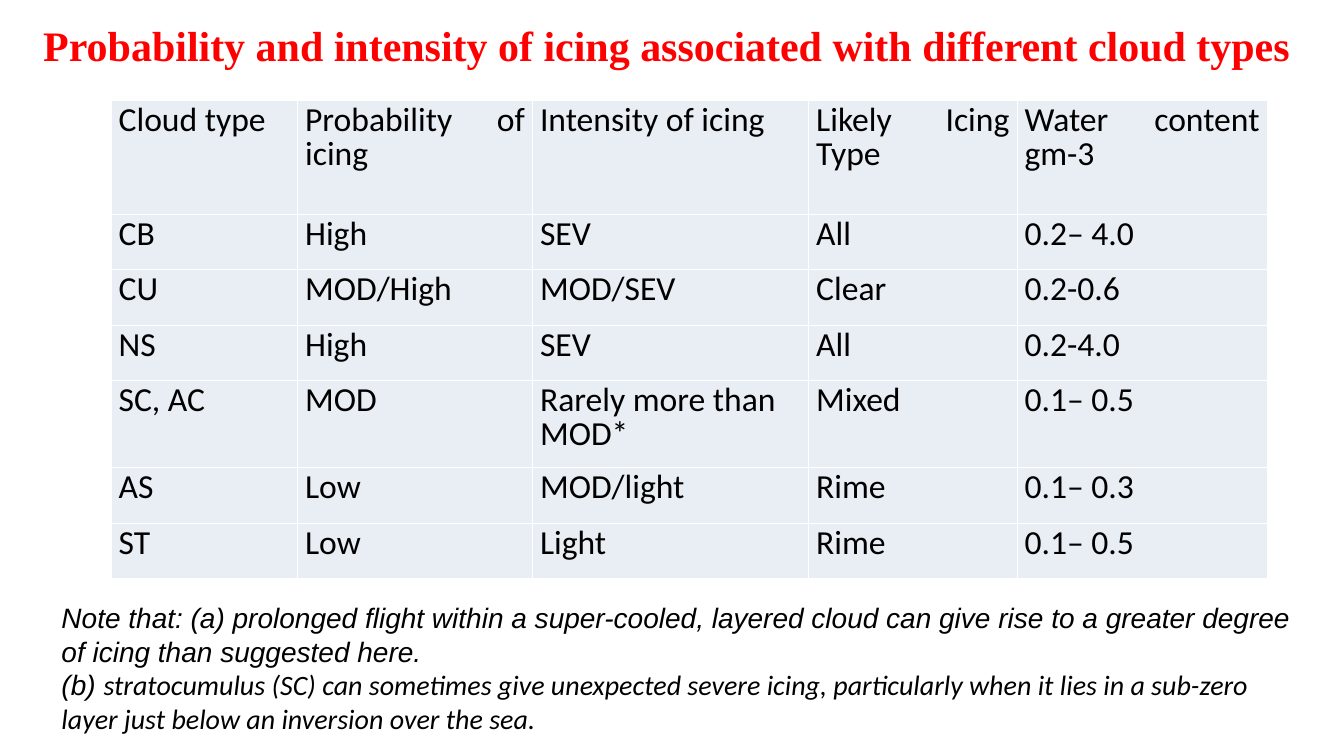
from lxml import etree
from pptx import Presentation
from pptx.dml.color import RGBColor
from pptx.enum.text import MSO_ANCHOR, MSO_AUTO_SIZE, PP_ALIGN
from pptx.oxml.ns import qn
from pptx.util import Cm, Pt

JUSTIFY, LEFT = PP_ALIGN.JUSTIFY, PP_ALIGN.LEFT
TOP, MIDDLE = MSO_ANCHOR.TOP, MSO_ANCHOR.MIDDLE
GROW = MSO_AUTO_SIZE.SHAPE_TO_FIT_TEXT
BLANK = 6

COLS = [4.7, 5.92, 6.96, 5.25, 6.3]
ROWS = [2.87, 1.4, 1.4, 1.4, 2.19, 1.4, 1.4]
CLOUDS = [
    ["Cloud type", "Probability of icing", "Intensity of icing",
     "Likely Icing Type", "Water content gm-3"],
    ["CB", "High", "SEV", "All", "0.2– 4.0"],
    ["CU", "MOD/High", "MOD/SEV", "Clear", "0.2-0.6"],
    ["NS", "High", "SEV", "All", "0.2-4.0"],
    ["SC, AC", "MOD", "Rarely more than MOD*", "Mixed", "0.1– 0.5"],
    ["AS", "Low", "MOD/light", "Rime", "0.1– 0.3"],
    ["ST", "Low", "Light", "Rime", "0.1– 0.5"],
]
RAGGED = "Rarely more than MOD*"
TITLE = "Probability and intensity of icing associated with different cloud types"
NOTES = [
    [("Note that: (a) prolonged flight within a super-cooled, layered cloud "
      "can give rise to a greater degree of icing than suggested here.", "Arial")],
    [("(b) ", "Arial"),
     ("stratocumulus (SC) can sometimes give unexpected severe icing, "
      "particularly when it lies in a sub-zero layer just below an inversion "
      "over the sea.", "Calibri")],
]


def color(code):
    return RGBColor.from_string(code)


def style(font, name, size, code="000000"):
    font.name, font.size = name, Pt(size)
    font.color.rgb = color(code)


def add_box(slide, box, anchor):
    frame = slide.shapes.add_textbox(*map(Cm, box)).text_frame
    frame.word_wrap = True
    frame.auto_size = GROW
    frame.vertical_anchor = anchor
    return frame


def add_title(slide, box):
    par = add_box(slide, box, MIDDLE).paragraphs[0]
    par.text = TITLE
    style(par.font, "Times New Roman", 30, "FF0000")
    par.font.bold = True


def add_edges(cell, code, width):
    """Draw one thin line on all four sides of a cell."""
    props = cell._tc.get_or_add_tcPr()
    for side in "LRTB":
        line = etree.SubElement(props, qn(f"a:ln{side}"), w=str(Pt(width)))
        fill = etree.SubElement(line, qn("a:solidFill"))
        etree.SubElement(fill, qn("a:srgbClr"), val=code)


def fill_cell(cell, text):
    add_edges(cell, "FFFFFF", 0.45)
    cell.fill.solid()
    cell.fill.fore_color.rgb = color("E9EDF4")
    cell.margin_left = cell.margin_right = Cm(0.19)
    cell.margin_top, cell.margin_bottom = Cm(0.1), 0
    par = cell.text_frame.paragraphs[0]
    par.text = text
    par.alignment = LEFT if text == RAGGED else JUSTIFY
    par.line_spacing, par.space_after = 0.83, Pt(6)
    style(par.font, "Calibri", 24)


def add_grid(slide, left, top):
    size = Cm(sum(COLS)), Cm(sum(ROWS))
    table = slide.shapes.add_table(
        len(ROWS), len(COLS), Cm(left), Cm(top), *size).table
    table.first_row = table.horz_banding = False
    for col, width in zip(table.columns, COLS):
        col.width = Cm(width)
    for row, height, texts in zip(table.rows, ROWS, CLOUDS):
        row.height = Cm(height)
        for cell, text in zip(row.cells, texts):
            fill_cell(cell, text)


def add_notes(slide, box):
    frame = add_box(slide, box, TOP)
    for i, parts in enumerate(NOTES):
        par = frame.add_paragraph() if i else frame.paragraphs[0]
        par.font.italic = True
        for text, name in parts:
            run = par.add_run()
            run.text = text
            style(run.font, name, 20)
            run.font.italic = True


def main():
    deck = Presentation()
    deck.slide_width, deck.slide_height = Cm(33.87), Cm(19.05)
    slide = deck.slides.add_slide(deck.slide_layouts[BLANK])
    add_grid(slide, 2.8, 2.52)
    add_title(slide, (0.84, 0.36, 32.54, 1.54))
    add_notes(slide, (1.3, 15.01, 31.65, 3.66))
    deck.save("out.pptx")


if __name__ == "__main__":
    main()
